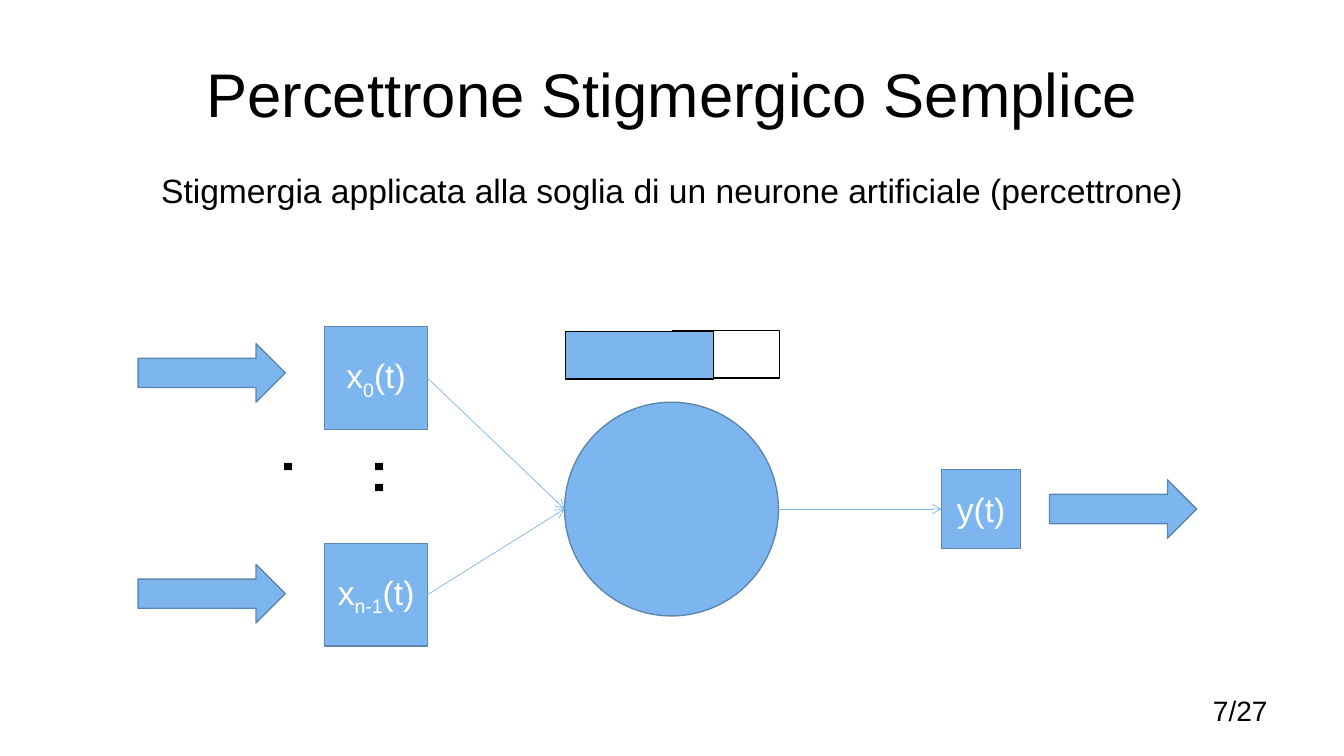
from lxml.etree import SubElement
from pptx import Presentation
from pptx.dml.color import RGBColor
from pptx.enum.shapes import MSO_CONNECTOR, MSO_SHAPE
from pptx.enum.text import MSO_ANCHOR, MSO_AUTO_SIZE, PP_ALIGN
from pptx.oxml.ns import qn
from pptx.util import Inches, Pt

BLUE = RGBColor(0x7D, 0xB6, 0xEF)
EDGE_BLUE = RGBColor(0x5C, 0x87, 0xB1)
BLACK = RGBColor(0, 0, 0)
WHITE = RGBColor(0xFF, 0xFF, 0xFF)

RIGHT_SIDE, LEFT_SIDE = 3, 1


def style_run(run, size, color):
    run.font.name = "Arial"
    run.font.size = Pt(size)
    run.font.color.rgb = color


def add_text(slide, text, left, top, width, height, size,
             align=PP_ALIGN.LEFT, anchor=MSO_ANCHOR.TOP):
    box = slide.shapes.add_textbox(Inches(left), Inches(top), Inches(width), Inches(height))
    frame = box.text_frame
    frame.word_wrap = True
    frame.vertical_anchor = anchor
    frame.text = text
    paragraph = frame.paragraphs[0]
    paragraph.alignment = align
    style_run(paragraph.runs[0], size, BLACK)
    return box


def add_figure(slide, kind, left, top, width, height, fill=BLUE, edge=EDGE_BLUE):
    figure = slide.shapes.add_shape(kind, Inches(left), Inches(top), Inches(width), Inches(height))
    figure.shadow.inherit = False
    figure.fill.solid()
    figure.fill.fore_color.rgb = fill
    figure.line.color.rgb = edge
    figure.line.width = Pt(1)
    return figure


def add_signal(slide, left, top, side, name, subscript=""):
    """Add a square labelled name, subscript and (t)."""
    square = add_figure(slide, MSO_SHAPE.RECTANGLE, left, top, side, side)
    frame = square.text_frame
    frame.word_wrap = False
    frame.vertical_anchor = MSO_ANCHOR.MIDDLE
    paragraph = frame.paragraphs[0]
    paragraph.alignment = PP_ALIGN.CENTER
    parts = [(name, False), (subscript, True), ("(t)", False)]
    for text, lowered in parts:
        if not text:
            continue
        run = paragraph.add_run()
        run.text = text
        style_run(run, 24, WHITE)
        if lowered:
            run.font._element.set("baseline", "-25000")
    return square


def add_link(slide, start, end):
    link = slide.shapes.add_connector(
        MSO_CONNECTOR.STRAIGHT, *(Inches(value) for value in (*start, *end)))
    link.line.color.rgb = BLUE
    link.line.width = Pt(0.5)
    SubElement(link.line._get_or_add_ln(), qn("a:tailEnd"), type="arrow")
    SubElement(link.element.spPr, qn("a:effectLst"))
    return link


def add_block_arrow(slide, left, top):
    add_figure(slide, MSO_SHAPE.RIGHT_ARROW, left, top, 1.46, 0.58)


def add_vertical_dots(slide):
    dots = add_text(slide, "...", 3.41, 4.43, 1.11, 0.76, 54)
    dots.text_frame.auto_size = MSO_AUTO_SIZE.SHAPE_TO_FIT_TEXT
    dots.element.txBody.find(qn("a:bodyPr")).set("vert", "eaVert")


def add_threshold_bar(slide):
    add_figure(slide, MSO_SHAPE.RECTANGLE, 6.67, 3.28, 1.06, 0.47, WHITE, BLACK)
    add_figure(slide, MSO_SHAPE.RECTANGLE, 5.61, 3.29, 1.47, 0.47, BLUE, BLACK)


def add_perceptron(slide):
    neuron_left, neuron_size, axis = 5.6, 2.12, 5.05
    add_figure(slide, MSO_SHAPE.OVAL, neuron_left, axis - neuron_size / 2,
               neuron_size, neuron_size)
    add_threshold_bar(slide)

    input_left, input_side = 3.22, 1.02
    for top, subscript, arrow_top in ((3.24, "0", 3.41), (5.39, "n-1", 5.6)):
        add_block_arrow(slide, 1.37, arrow_top)
        signal = add_signal(slide, input_left, top, input_side, "x", subscript)
        link = add_link(slide, (input_left + input_side, top + input_side / 2),
                        (neuron_left, axis))
        link.begin_connect(signal, RIGHT_SIDE)
    add_vertical_dots(slide)

    output_left, output_side = 9.34, 0.78
    output = add_signal(slide, output_left, axis - output_side / 2, output_side, "y")
    link = add_link(slide, (neuron_left + neuron_size, axis), (output_left, axis))
    link.end_connect(output, LEFT_SIDE)
    add_block_arrow(slide, 10.41, 4.76)


def main():
    presentation = Presentation()
    presentation.slide_width = Inches(13.33)
    presentation.slide_height = Inches(7.5)
    slide = presentation.slides.add_slide(presentation.slide_layouts[6])
    add_text(slide, "Percettrone Stigmergico Semplice", 0.67, 0.3, 12, 1.25, 44,
             PP_ALIGN.CENTER, MSO_ANCHOR.MIDDLE)
    add_text(slide, "Stigmergia applicata alla soglia di un neurone artificiale (percettrone)",
             1.5, 1.64, 10.34, 0.57, 24)
    add_perceptron(slide)
    add_text(slide, "7/27", 9.56, 6.83, 3.11, 0.52, 20, PP_ALIGN.RIGHT)
    presentation.save("out.pptx")


if __name__ == "__main__":
    main()
